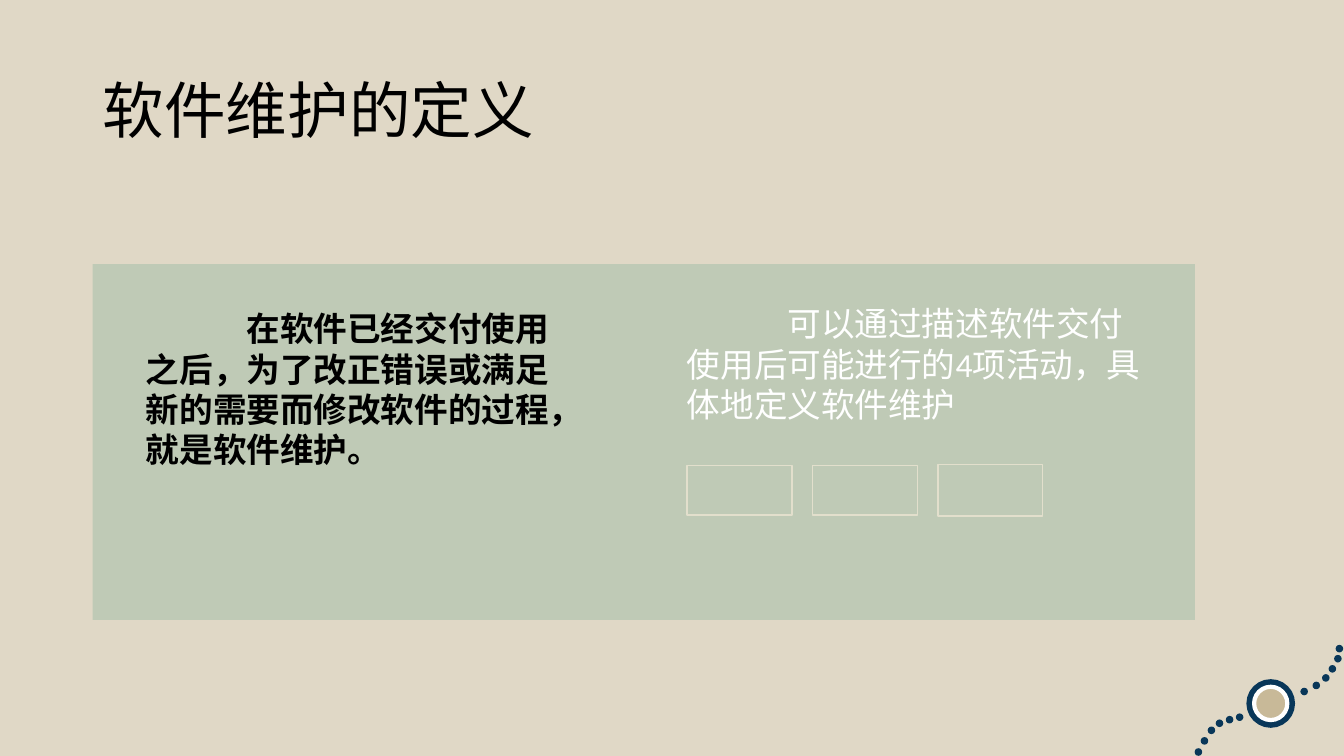
from lxml.etree import SubElement
from pptx import Presentation
from pptx.dml.color import RGBColor
from pptx.enum.shapes import MSO_SHAPE as Preset
from pptx.enum.text import MSO_ANCHOR as Anchor, MSO_AUTO_SIZE as AutoSize, PP_ALIGN as Align
from pptx.oxml.ns import qn
from pptx.util import Inches, Pt

SAND = RGBColor(0xE0, 0xD8, 0xC6)
NAVY = RGBColor(0x09, 0x37, 0x59)
TAN = RGBColor(0xC8, 0xB9, 0x98)
SAGE = RGBColor(0xAA, 0xC2, 0xAC)
CREAM = RGBColor(0xE2, 0xDF, 0xCC)
WHITE = RGBColor(0xFF, 0xFF, 0xFF)
BLACK = RGBColor(0x00, 0x00, 0x00)

DOT_CENTRES = [
    (89.17, 99.47), (89.62, 98), (90.14, 96.6), (90.74, 95.67),
    (91.49, 95.2), (92.24, 94.87), (97.04, 91.47), (97.94, 90.67),
    (98.65, 89.67), (99.14, 88.47), (99.55, 87.13), (99.66, 85.8),
]
DOT_SIZE = (0.56, 1)
RING_CENTRE = (94.55, 93.05)
BOX_LEFT, BOX_STEP, BOX_WIDTH, BOX_MIDDLE = 51.12, 9.33, 7.8, 64.87
BOX_HEIGHTS = [6.53, 6.53, 6.8]


class SlideBuilder:
    """Holds the style and current slide; lengths are percentages of the slide."""

    font = "Calibri"
    title_size = Pt(44)
    body_size = Pt(24)
    first_line_indent = Inches(1)

    def __init__(self, presentation):
        self.width = presentation.slide_width
        self.height = presentation.slide_height
        self.slide = presentation.slides.add_slide(presentation.slide_layouts[5])
        self.slide.background.fill.solid()
        self.slide.background.fill.fore_color.rgb = SAND

    def frame(self, left, top, width, height):
        return (round(left * self.width / 100), round(top * self.height / 100),
                round(width * self.width / 100), round(height * self.height / 100))

    def shape(self, preset, box, fill=None, line=None, weight=1, opacity=None):
        shape = self.slide.shapes.add_shape(preset, *self.frame(*box))
        shape.shadow.inherit = False
        if fill is None:
            shape.fill.background()
        else:
            shape.fill.solid()
            shape.fill.fore_color.rgb = fill
        if opacity is not None:
            colour = shape.fill._xPr.find(qn("a:solidFill"))[0]
            SubElement(colour, qn("a:alpha"), val=str(opacity * 1000))
        if line is None:
            shape.line.fill.background()
        else:
            shape.line.color.rgb = line
            shape.line.width = Pt(weight)
        return shape

    def circle(self, centre, size, fill, line=None, weight=1):
        (x, y), (width, height) = centre, size
        box = (x - width / 2, y - height / 2, width, height)
        return self.shape(Preset.OVAL, box, fill, line, weight)

    def run(self, paragraph, text, size, colour, bold=False):
        run = paragraph.add_run()
        run.text = text
        run.font.name = self.font
        run.font.size = size
        run.font.bold = bold
        run.font.color.rgb = colour

    def title(self, box, text):
        title = self.slide.shapes.title
        title.left, title.top, title.width, title.height = self.frame(*box)
        title.text_frame.vertical_anchor = Anchor.MIDDLE
        title.text_frame.auto_size = AutoSize.NONE
        paragraph = title.text_frame.paragraphs[0]
        paragraph.alignment = Align.LEFT
        paragraph.line_spacing = 0.9
        self.run(paragraph, text, self.title_size, BLACK)

    def text(self, box, text, colour, bold=False):
        text_frame = self.slide.shapes.add_textbox(*self.frame(*box)).text_frame
        text_frame.word_wrap = True
        text_frame.auto_size = AutoSize.SHAPE_TO_FIT_TEXT
        paragraph = text_frame.paragraphs[0]
        properties = paragraph._p.get_or_add_pPr()
        properties.set("marL", "0")
        properties.set("indent", str(self.first_line_indent))
        self.run(paragraph, text, self.body_size, colour, bold)


def main():
    presentation = Presentation()
    presentation.slide_width = Inches(13.34)
    presentation.slide_height = Inches(7.5)
    builder = SlideBuilder(presentation)

    for centre in DOT_CENTRES:
        builder.circle(centre, DOT_SIZE, NAVY)
    builder.circle(RING_CENTRE, (3.15, 5.6), WHITE, NAVY, 4.5)
    builder.circle(RING_CENTRE, (2.47, 4.4), TAN, WHITE, 3)

    builder.title((6.9, 5.33, 39.28, 19.33), "软件维护的定义")
    builder.shape(Preset.RECTANGLE, (6.9, 34.93, 82.01, 47.07), SAGE, opacity=60)
    builder.text((10.12, 40.13, 32.68, 22.67),
                 "在软件已经交付使用之后，为了改正错误或满足新的需要而修改软件的过程，就是软件维护。",
                 BLACK, bold=True)
    builder.text((50.37, 39.47, 36.21, 17.33),
                 "可以通过描述软件交付使用后可能进行的4项活动，具体地定义软件维护", WHITE)

    for index, height in enumerate(BOX_HEIGHTS):
        box = (BOX_LEFT + index * BOX_STEP, BOX_MIDDLE - height / 2, BOX_WIDTH, height)
        builder.shape(Preset.RECTANGLE, box, line=CREAM)

    presentation.save("out.pptx")


if __name__ == "__main__":
    main()
